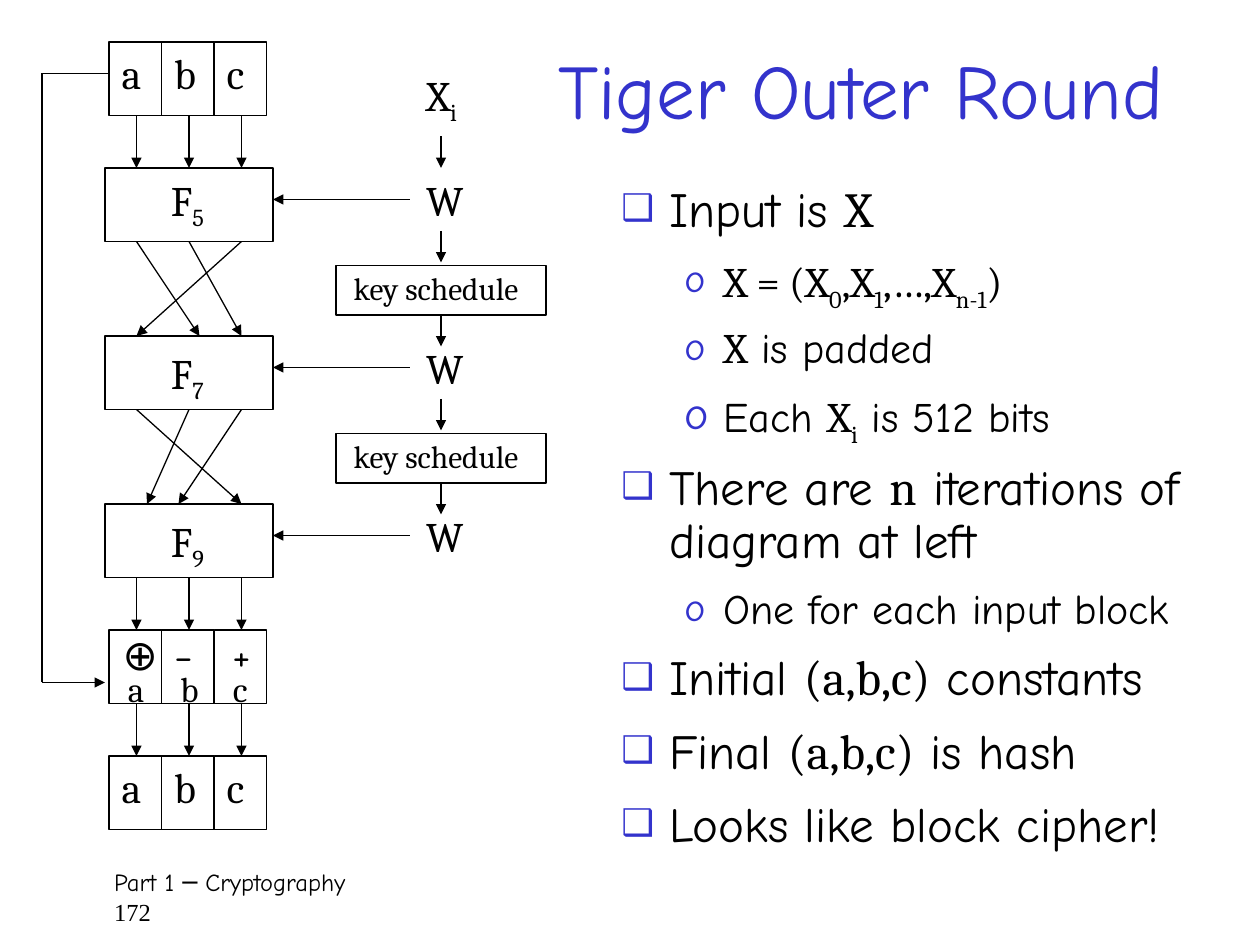
from lxml import etree
from pptx import Presentation
from pptx.dml.color import RGBColor
from pptx.enum.shapes import MSO_CONNECTOR, MSO_SHAPE
from pptx.enum.text import MSO_ANCHOR, MSO_AUTO_SIZE, PP_ALIGN
from pptx.oxml.ns import qn
from pptx.util import Inches, Pt

STRAIGHT = MSO_CONNECTOR.STRAIGHT
RECTANGLE = MSO_SHAPE.RECTANGLE
BLACK = RGBColor(0x00, 0x00, 0x00)
BLUE = RGBColor(0x33, 0x33, 0xCC)
COMIC, SERIF, TIMES = "Comic Neue", "Cambria", "Times New Roman"
TITLE_ONLY = 5

CELL_LEFT, CELL_WIDTH, BOX_HEIGHT = 10.4, 5, 7
WIRES = (13, 18, 23)
ROUND_ROWS = {"5": 16, "7": 32, "9": 48}
KEY_COLUMN = 42

# Each bullet: level, bullet size in percent, runs of (text, font, subscript)
BULLETS = [
    (0, 75, [("Input is ", COMIC, False), ("X", SERIF, False)]),
    (1, 95, [("X = (X", SERIF, False), ("0", SERIF, True), (",X", SERIF, False),
             ("1", SERIF, True), (",…,X", SERIF, False), ("n-1", SERIF, True),
             (")", SERIF, False)]),
    (1, 95, [("X", SERIF, False), (" is padded", COMIC, False)]),
    (1, 110, [("Each ", COMIC, False), ("X", SERIF, False), ("i", SERIF, True),
              (" is 512 bits", COMIC, False)]),
    (0, 75, [("There are ", COMIC, False), ("n", SERIF, False),
             (" iterations of diagram at left", COMIC, False)]),
    (1, 95, [("One for each input block", COMIC, False)]),
    (0, 75, [("Initial ", COMIC, False), ("(a,b,c)", SERIF, False),
             (" constants", COMIC, False)]),
    (0, 75, [("Final ", COMIC, False), ("(a,b,c)", SERIF, False),
             (" is hash", COMIC, False)]),
    (0, 75, [("Looks like block cipher!", COMIC, False)]),
]


def grid(*units):
    """Turn grid units (a twelfth of an inch) into lengths."""
    return [Inches(unit / 12) for unit in units]


def add_run(paragraph, text, *, font=SERIF, size=24, color=BLACK, subscript=False):
    run = paragraph.add_run()
    run.text = text
    run.font.name = font
    run.font.size = Pt(size)
    run.font.color.rgb = color
    if subscript:
        run._r.get_or_add_rPr().set("baseline", "-25000")


def add_label(slide, text, area, *, subscript="", spacing=None, wrap=False, **text_format):
    frame = slide.shapes.add_textbox(*grid(*area)).text_frame
    frame.word_wrap = wrap
    frame.auto_size = MSO_AUTO_SIZE.SHAPE_TO_FIT_TEXT
    paragraph = frame.paragraphs[0]
    paragraph.line_spacing = spacing
    add_run(paragraph, text, **text_format)
    if subscript:
        add_run(paragraph, subscript, subscript=True, **text_format)


def add_box(slide, *area):
    box = slide.shapes.add_shape(RECTANGLE, *grid(*area))
    box.shadow.inherit = False
    box.fill.background()
    box.line.color.rgb = BLACK
    box.line.width = Pt(0.75)


def add_line(slide, start, end, arrow=True):
    connector = slide.shapes.add_connector(STRAIGHT, *grid(*start, *end))
    connector.line.color.rgb = BLACK
    connector.line.width = Pt(0.75)
    if arrow:
        line = connector.line._get_or_add_ln()
        etree.SubElement(line, qn("a:tailEnd"), type="triangle")
    etree.SubElement(connector._element.spPr, qn("a:effectLst"))


def add_bullet(paragraph, character, percent):
    properties = paragraph._p.get_or_add_pPr()
    color = etree.SubElement(properties, qn("a:buClr"))
    etree.SubElement(color, qn("a:srgbClr"), val=str(BLUE))
    etree.SubElement(properties, qn("a:buSzPct"), val=str(percent * 1000))
    etree.SubElement(properties, qn("a:buFont"), typeface=COMIC)
    etree.SubElement(properties, qn("a:buChar"), char=character)


def add_cells(slide, top):
    for column in range(3):
        add_box(slide, CELL_LEFT + column * CELL_WIDTH, top, CELL_WIDTH, BOX_HEIGHT)


def add_letters(slide, left, top, size):
    for column, letter in enumerate("abc"):
        width = size * (0.185 if letter == "c" else 0.195)
        add_label(slide, letter, (left + column * CELL_WIDTH, top, width, size / 6),
                  size=size, spacing=0.6)


def add_wires(slide, top, bottom, targets=WIRES):
    for source, target in zip(WIRES, targets):
        add_line(slide, (source, top), (target, bottom))


def add_rounds(slide):
    for number, top in ROUND_ROWS.items():
        add_box(slide, 10, top, 16, BOX_HEIGHT)
        label_top = top if number == "5" else top + 0.5
        add_label(slide, "F", (15.1, label_top, 7.9, 6), subscript=number, wrap=True)
        add_label(slide, "W", (39.4, top, 6.2, 6))
        add_line(slide, (39, top + 3), (26, top + 3))
    add_wires(slide, 23, 32, targets=(19, 23, 13))
    add_wires(slide, 39, 48, targets=(23, 14, 17))


def add_key_schedule(slide):
    add_label(slide, "X", (39.4, 6, 5.6, 6), subscript="i")
    for top in (25, 41):
        add_box(slide, 32, top + 0.3, 20, 4.7)
        add_label(slide, "key schedule", (32.5, top, 19.9, 4.8), size=18)
    for top in (13, 22, 30, 38, 46):
        add_line(slide, (KEY_COLUMN, top), (KEY_COLUMN, top + 3))


def add_registers(slide):
    for top in (4, 72):
        add_cells(slide, top)
        add_letters(slide, CELL_LEFT, top + 1.65, 24)
    add_cells(slide, 60)
    add_letters(slide, 11, 64.4, 20)
    for symbol, left, width in (("⊕", 10.5, 5.5), ("−", 15.4, 4.6), ("+", 21, 4.6)):
        add_label(slide, symbol, (left, 61, width, 4), font=COMIC, spacing=0.6)
    for top in (11, 55, 67):
        add_wires(slide, top, top + 5)
    add_line(slide, (CELL_LEFT, 7), (4, 7), arrow=False)
    add_line(slide, (4, 7), (4, 65), arrow=False)
    add_line(slide, (4, 65), (10, 65))


def set_title(slide, text):
    title = slide.shapes.title
    title.left, title.top, title.width, title.height = grid(50, 2, 67, 14)
    frame = title.text_frame
    frame.auto_size = MSO_AUTO_SIZE.NONE
    frame.vertical_anchor = MSO_ANCHOR.MIDDLE
    frame.margin_right = Inches(0.35)
    paragraph = frame.paragraphs[0]
    paragraph.alignment = PP_ALIGN.CENTER
    paragraph.line_spacing = 0.9
    add_run(paragraph, text, font=COMIC, size=44, color=BLUE)


def add_body(slide):
    frame = slide.shapes.add_textbox(*grid(58, 17, 59, 64)).text_frame
    frame.word_wrap = True
    for index, (level, percent, runs) in enumerate(BULLETS):
        paragraph = frame.add_paragraph() if index else frame.paragraphs[0]
        size = 24 if level else 28
        margin, indent = (0.81, -0.31) if level else (0.38, -0.38)
        properties = paragraph._p.get_or_add_pPr()
        properties.set("marL", str(Inches(margin)))
        properties.set("indent", str(Inches(indent)))
        paragraph.level = level
        paragraph.line_spacing = 0.9
        paragraph.space_before = Pt(0.2 * size if index else 0)
        paragraph.space_after = Pt(6)
        add_bullet(paragraph, "o" if level else "❑", percent)
        for text, font, subscript in runs:
            add_run(paragraph, text, font=font, size=size, subscript=subscript)


def add_footer(slide):
    frame = slide.shapes.add_textbox(*grid(9.7, 82, 103, 6)).text_frame
    frame.word_wrap = True
    add_run(frame.paragraphs[0], "Part 1 ─ Cryptography", font=COMIC, size=14)
    add_run(frame.add_paragraph(), "172", font=TIMES, size=14)


def main():
    presentation = Presentation()
    presentation.slide_width, presentation.slide_height = grid(120, 90)
    slide = presentation.slides.add_slide(presentation.slide_layouts[TITLE_ONLY])
    set_title(slide, "Tiger Outer Round")
    add_registers(slide)
    add_rounds(slide)
    add_key_schedule(slide)
    add_body(slide)
    add_footer(slide)
    presentation.save("out.pptx")


if __name__ == "__main__":
    main()
